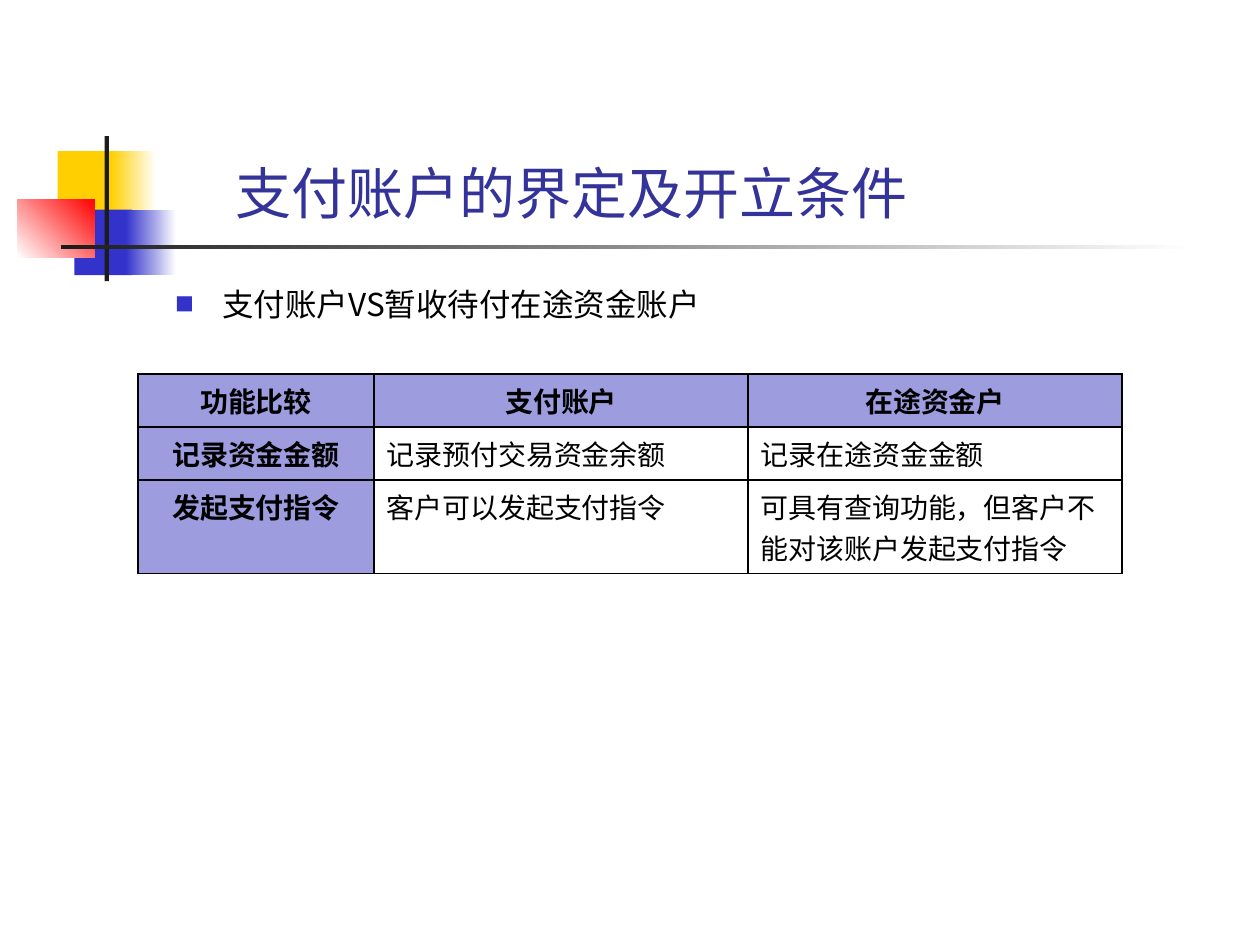
from lxml import etree
from pptx import Presentation
from pptx.dml import color
from pptx.enum import shapes, text
from pptx.oxml import ns
from pptx.util import Pt

CJK = "Noto Sans CJK SC"
BLACK, WHITE, CHARCOAL = "000000", "FFFFFF", "1C1C1C"
YELLOW, BLUE, RED = "FFCF01", "3333CC", "FF0000"
NAVY, LAVENDER = "333399", "9C9CDF"


def rgb(value):
    return color.RGBColor.from_string(value)


def child(parent, tag, **attributes):
    return etree.SubElement(parent, ns.qn(tag), attributes)


class SlideBuilder:
    def __init__(self, slide, font=CJK, ink=BLACK):
        self.slide = slide
        self.font = font
        self.ink = ink

    def run(self, paragraph, words, size, ink=None, latin=None, bold=False):
        run = paragraph.add_run()
        run.text = words
        run.font.size = Pt(size)
        run.font.bold = bold
        run.font.name = latin or self.font
        run.font.color.rgb = rgb(ink or self.ink)
        child(run.font._element, "a:ea", typeface=self.font)

    def block(self, box, start, end=None, angle=0):
        block = self.slide.shapes.add_shape(
            shapes.MSO_SHAPE.RECTANGLE, *map(Pt, box))
        block.shadow.inherit = False
        block.line.fill.background()
        if end is None:
            block.fill.solid()
            block.fill.fore_color.rgb = rgb(start)
            return
        block.fill.gradient()
        block.fill.gradient_angle = angle
        for stop, tone in zip(block.fill.gradient_stops, (start, end)):
            stop.color.rgb = rgb(tone)

    def placeholder(self, index, box, anchor):
        holder = self.slide.placeholders[index]
        holder.left, holder.top, holder.width, holder.height = map(Pt, box)
        frame = holder.text_frame
        frame.word_wrap = True
        frame.auto_size = text.MSO_AUTO_SIZE.NONE
        frame.vertical_anchor = anchor
        paragraph = frame.paragraphs[0]
        paragraph.alignment = text.PP_ALIGN.LEFT
        return paragraph

    def title(self, words, box):
        heading = self.placeholder(0, box, text.MSO_ANCHOR.BOTTOM)
        self.run(heading, words, 32, NAVY, "Roboto")

    def bullet(self, words, box):
        item = self.placeholder(1, box, text.MSO_ANCHOR.TOP)
        item.space_before = Pt(3.6)
        props = item._p.get_or_add_pPr()
        props.set("marL", str(Pt(27)))
        props.set("indent", str(Pt(-27)))
        child(child(props, "a:buClr"), "a:srgbClr", val=BLUE)
        child(props, "a:buSzPct", val="60000")
        child(props, "a:buFont", typeface=self.font)
        child(props, "a:buChar", char="■")
        self.run(item, words, 18)

    def border(self, cell):
        props = cell._tc.get_or_add_tcPr()
        for position, side in enumerate(("L", "R", "T", "B")):
            edge = etree.Element(ns.qn(f"a:ln{side}"), w=str(Pt(1)))
            child(child(edge, "a:solidFill"), "a:srgbClr", val=BLACK)
            props.insert(position, edge)

    def table(self, rows, left, top, widths, heights):
        grid = self.slide.shapes.add_table(
            len(rows), len(widths), Pt(left), Pt(top),
            Pt(sum(widths)), Pt(sum(heights))).table
        grid.first_row = grid.horz_banding = False
        for column, width in zip(grid.columns, widths):
            column.width = Pt(width)
        for r, (words_in_row, height) in enumerate(zip(rows, heights)):
            grid.rows[r].height = Pt(height)
            for c, words in enumerate(words_in_row):
                cell = grid.cell(r, c)
                header = r == 0 or c == 0
                if header:
                    cell.fill.solid()
                    cell.fill.fore_color.rgb = rgb(LAVENDER)
                else:
                    cell.fill.background()
                self.border(cell)
                paragraph = cell.text_frame.paragraphs[0]
                paragraph.alignment = (
                    text.PP_ALIGN.CENTER if header else text.PP_ALIGN.LEFT)
                self.run(paragraph, words, 16, bold=header)


def main():
    deck = Presentation()
    deck.slide_width, deck.slide_height = Pt(720), Pt(540)
    page = SlideBuilder(deck.slides.add_slide(deck.slide_layouts[1]))

    page.block((33, 86.4, 34.6, 37.4), YELLOW)
    page.block((63.4, 86.4, 25.9, 37.4), YELLOW, WHITE)
    page.block((42.5, 119.8, 33.1, 37.4), BLUE)
    page.block((72, 119.8, 28.8, 37.4), BLUE, WHITE)
    page.block((10, 113.8, 44.2, 33.4), WHITE, RED, 45)
    page.block((59.8, 77.8, 2.5, 82.8), CHARCOAL)
    page.block((34.8, 140, 648, 2.5), CHARCOAL, WHITE)

    page.title("支付账户的界定及开立条件", (127.4, 54.7, 576.7, 77.8))
    page.bullet("支付账户VS暂收待付在途资金账户", (92.9, 159.1, 612, 324))
    page.table(
        [("功能比较", "支付账户", "在途资金户"),
         ("记录资金金额", "记录预付交易资金余额", "记录在途资金金额"),
         ("发起支付指令", "客户可以发起支付指令",
          "可具有查询功能，但客户不能对该账户发起支付指令")],
        78.8, 213.8, (135, 213.7, 213.7), (30, 30, 44))
    deck.save("out.pptx")


if __name__ == "__main__":
    main()
